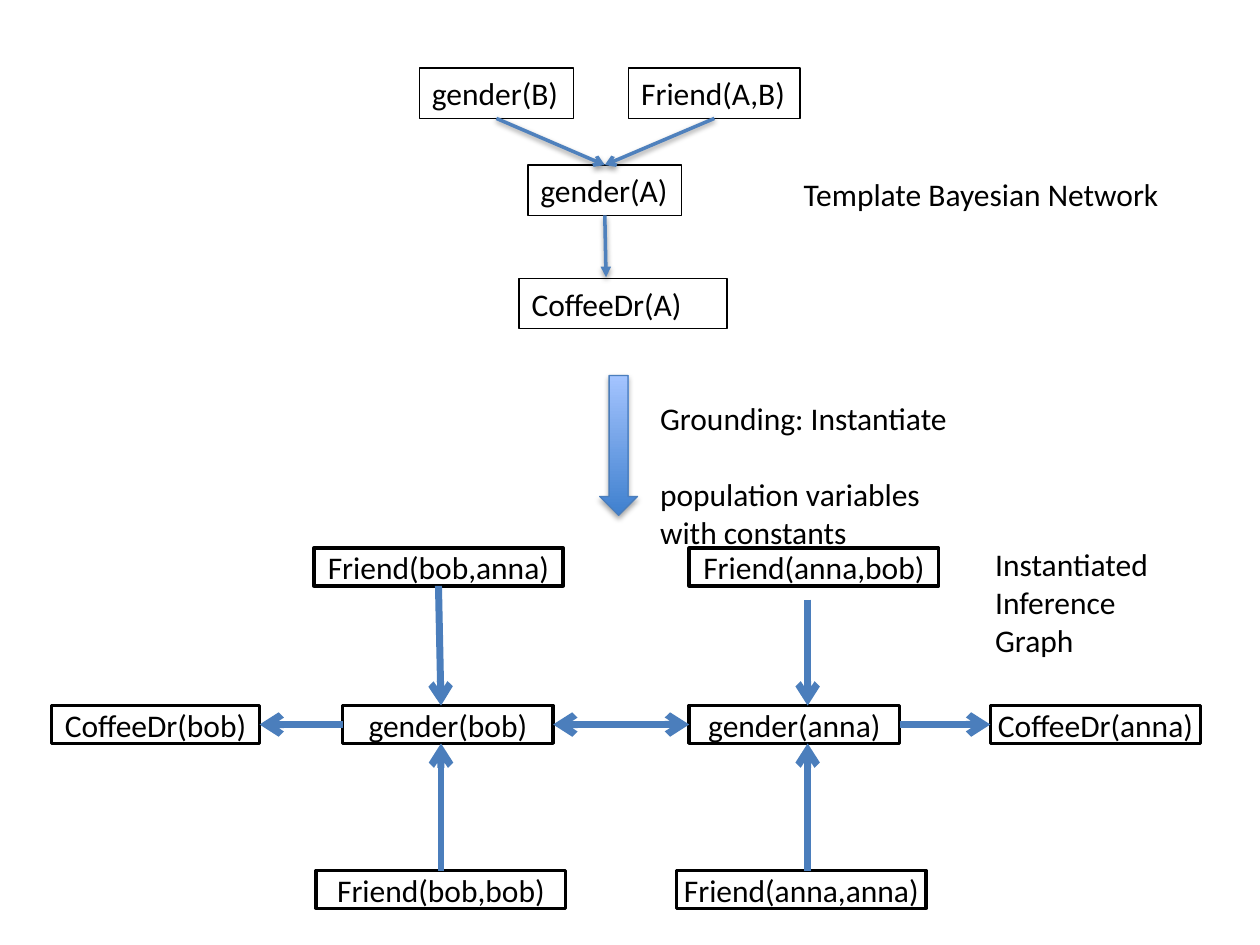
from typing import NamedTuple, Optional

from lxml.etree import SubElement
from pptx import Presentation
from pptx.dml.color import RGBColor
from pptx.enum.shapes import MSO_CONNECTOR as Connector, MSO_SHAPE as Shape
from pptx.enum.text import MSO_ANCHOR as Anchor, PP_ALIGN as Align
from pptx.oxml.ns import qn
from pptx.util import Emu, Inches, Pt

BLACK = RGBColor(0x00, 0x00, 0x00)
GRAPH_BLUE = RGBColor(0x4B, 0x7E, 0xBC)
TEMPLATE_BLUE = RGBColor(0x4F, 0x81, 0xBD)
DEEP_BLUE = RGBColor(0x3F, 0x80, 0xCE)
PALE_BLUE = RGBColor(0xA4, 0xC4, 0xFF)
FONT = "Calibri"
TEXT_SIZE = Pt(18)

deck = Presentation()
deck.slide_width, deck.slide_height = Inches(10), Inches(7.5)
page = deck.slides.add_slide(deck.slide_layouts[6])

# Grid of 100 columns by 75 rows
COLUMN = deck.slide_width / 100
ROW = deck.slide_height / 75


class Shadow(NamedTuple):
    opacity: int
    blur: float
    distance: float


class Node(NamedTuple):
    text: str
    column: float
    row: float
    width: float


class Edge(NamedTuple):
    start: tuple[float, float]
    end: tuple[float, float]
    tail: str = "arrow"
    head: Optional[str] = None


class Label(NamedTuple):
    paragraphs: tuple[str, ...]
    column: float
    row: float
    width: float
    height: float
    gap: float = 0


def place(column: float, row: float, width: float, height: float) -> tuple[Emu, ...]:
    return (Emu(round(column * COLUMN)), Emu(round(row * ROW)),
            Emu(round(width * COLUMN)), Emu(round(height * ROW)))


def write(box, *paragraphs: str, align=Align.LEFT, anchor=Anchor.TOP,
          inset: Optional[int] = None, gap: float = 0) -> None:
    """Fill a box with paragraphs; gap is the space between them in points."""
    frame = box.text_frame
    frame.word_wrap = True
    frame.vertical_anchor = anchor
    if inset is not None:
        frame.margin_left = frame.margin_right = inset
        frame.margin_top = frame.margin_bottom = inset
    for index, text in enumerate(paragraphs):
        para = frame.add_paragraph() if index else frame.paragraphs[0]
        para.text = text
        para.alignment = align
        para.space_before = Pt(gap if index else 0)
        for span in para.runs:
            span.font.name, span.font.size = FONT, TEXT_SIZE
            span.font.color.rgb = BLACK


def cast_shadow(effects, shadow: Shadow) -> None:
    outer = SubElement(effects, qn("a:outerShdw"), blurRad=str(Pt(shadow.blur)),
                       dist=str(Pt(shadow.distance)), dir="5400000", rotWithShape="0")
    color = SubElement(outer, qn("a:srgbClr"), val=str(BLACK))
    SubElement(color, qn("a:alpha"), val=str(shadow.opacity * 1000))


def draw_node(node: Node, height: float, line: float, **text_format) -> None:
    box = page.shapes.add_shape(
        Shape.RECTANGLE, *place(node.column, node.row, node.width, height))
    box.shadow.inherit = False
    box.fill.background()
    box.line.color.rgb, box.line.width = BLACK, Pt(line)
    write(box, node.text, **text_format)


def draw_edge(edge: Edge, color: RGBColor, width: float,
              shadow: Optional[Shadow] = None) -> None:
    arrow = page.shapes.add_connector(
        Connector.STRAIGHT, *place(*edge.start, *edge.end))
    arrow.line.color.rgb, arrow.line.width = color, Pt(width)
    outline = arrow.line._get_or_add_ln()
    for tag, kind in (("a:headEnd", edge.head), ("a:tailEnd", edge.tail)):
        if kind:
            SubElement(outline, qn(tag), type=kind)
    effects = SubElement(arrow._element.spPr, qn("a:effectLst"))
    if shadow:
        cast_shadow(effects, shadow)


# Instantiated inference graph
PERSON_ROW, NODE_HEIGHT = 56, 3
FRIEND_ROW, SELF_ROW = 43.5, 69.1
PERSON_MIDDLE, PERSON_BOTTOM = PERSON_ROW + NODE_HEIGHT / 2, PERSON_ROW + NODE_HEIGHT
FRIEND, PERSON = 19.8, 16.7
BOB, ANNA = 35, 64.1

for node in (
    Node("CoffeeDr(bob)", 4.1, PERSON_ROW, 16.5),
    Node("gender(bob)", 27.2, PERSON_ROW, PERSON),
    Node("gender(anna)", 54.7, PERSON_ROW, PERSON),
    Node("CoffeeDr(anna)", 78.6, PERSON_ROW, PERSON),
    Node("Friend(bob,anna)", 24.9, FRIEND_ROW, FRIEND),
    Node("Friend(anna,bob)", 54.7, FRIEND_ROW, FRIEND),
    Node("Friend(bob,bob)", 25.1, SELF_ROW, FRIEND),
    Node("Friend(anna,anna)", 53.7, SELF_ROW, FRIEND),
):
    draw_node(node, NODE_HEIGHT, 2, align=Align.CENTER, inset=0)

for edge in (
    Edge((27.2, PERSON_MIDDLE), (20.6, PERSON_MIDDLE)),
    Edge((43.9, PERSON_MIDDLE), (54.7, PERSON_MIDDLE), head="arrow"),
    Edge((71.4, PERSON_MIDDLE), (78.6, PERSON_MIDDLE)),
    Edge((34.8, FRIEND_ROW + NODE_HEIGHT), (BOB, PERSON_ROW)),
    Edge((ANNA, 47.6), (ANNA, PERSON_ROW)),
    Edge((BOB, SELF_ROW), (BOB, PERSON_BOTTOM)),
    Edge((ANNA, SELF_ROW), (ANNA, PERSON_BOTTOM)),
):
    draw_edge(edge, GRAPH_BLUE, 4)

# Template network
PARENT_ROW, CHILD_ROW, TEMPLATE_HEIGHT = 5.4, 13.1, 4
PARENT_BOTTOM = PARENT_ROW + TEMPLATE_HEIGHT
CHILD_TOP = (48, CHILD_ROW)

for node in (
    Node("gender(B)", 33.3, PARENT_ROW, 12.2),
    Node("Friend(A,B)", 49.9, PARENT_ROW, 13.6),
    Node("gender(A)", 41.9, CHILD_ROW, 12.2),
    Node("CoffeeDr(A)", 41.2, 22.1, 16.5),
):
    draw_node(node, TEMPLATE_HEIGHT, 0.75)

for edge in (
    Edge((39.4, PARENT_BOTTOM), CHILD_TOP),
    Edge((56.7, PARENT_BOTTOM), CHILD_TOP),
    Edge((48, CHILD_ROW + TEMPLATE_HEIGHT), (48.1, 22), tail="triangle"),
):
    draw_edge(edge, TEMPLATE_BLUE, 2, Shadow(38, 3.1, 1.6))

# Grounding arrow
grounding = page.shapes.add_shape(Shape.DOWN_ARROW, *place(47.6, 29.8, 3, 11.1))
grounding.fill.gradient()
grounding.fill.gradient_angle = 90
for stop, color in zip(grounding.fill.gradient_stops, (DEEP_BLUE, PALE_BLUE)):
    stop.color.rgb = color
grounding.line.color.rgb, grounding.line.width = GRAPH_BLUE, Pt(0.75)
grounding.shadow.inherit = False
cast_shadow(grounding._element.spPr.find(qn("a:effectLst")), Shadow(35, 3.1, 1.8))

# Labels
for label in (
    Label(("Template Bayesian Network",), 62.8, 13.4, 30.9, 4),
    Label(("Grounding: Instantiate", "population variables\vwith constants"),
          51.4, 31.2, 25.2, 10.1, gap=21.5),
    Label(("Instantiated", "Inference\vGraph"), 78, 42.8, 14.4, 10.1),
):
    box = page.shapes.add_textbox(
        *place(label.column, label.row, label.width, label.height))
    write(box, *label.paragraphs, gap=label.gap)

deck.save("out.pptx")
